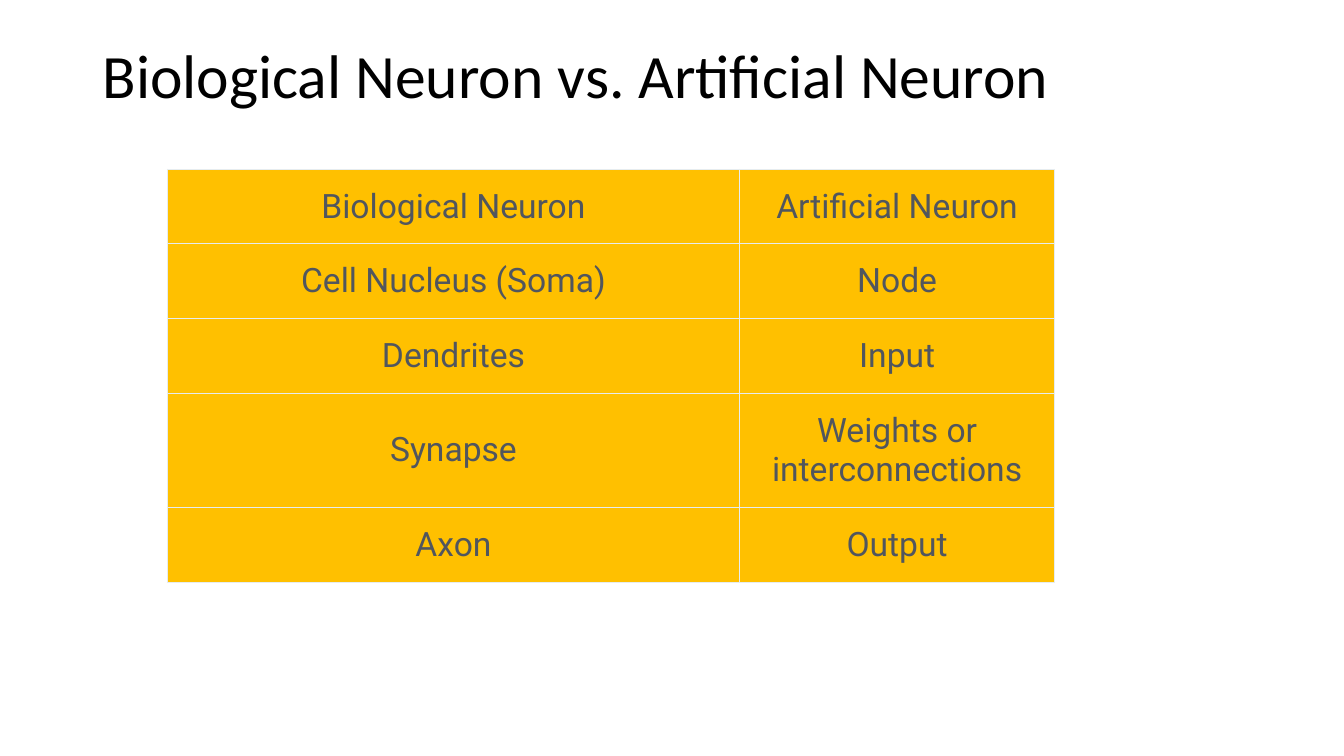
from dataclasses import dataclass

from lxml import etree
from pptx import Presentation
from pptx import util as u
from pptx.dml.color import RGBColor
from pptx.enum import text
from pptx.oxml import ns


@dataclass(frozen=True)
class Theme:
    title_font: str = "Calibri"
    title_size: int = 44
    title_color: str = "000000"
    cell_font: str = "Roboto"
    cell_size: int = 24
    cell_color: str = "51565E"
    cell_fill: str = "FFC000"
    border_color: str = "E6ECEF"
    border_width: float = 0.75


THEME = Theme()
NEURON_PAIRS = [
    ("Biological Neuron", "Artificial Neuron"),
    ("Cell Nucleus (Soma)", "Node"),
    ("Dendrites", "Input"),
    ("Synapse", "Weights or interconnections"),
    ("Axon", "Output"),
]
COLUMN_SHARES = (0.645, 0.355)
ROW_HEIGHT, WRAPPED_ROW_HEIGHT = 0.73, 1.11
CELL_FORMAT = {
    "margin_left": u.Inches(0.12),
    "margin_right": u.Inches(0.12),
    "margin_top": u.Inches(0.17),
    "margin_bottom": u.Inches(0.17),
    "vertical_anchor": text.MSO_ANCHOR.MIDDLE,
}


def apply_format(target, values):
    for attribute, value in values.items():
        setattr(target, attribute, value)


def write(paragraph, wording, font, size, color):
    run = paragraph.add_run()
    run.text = wording
    apply_format(run.font, {"name": font, "size": u.Pt(size)})
    run.font.color.rgb = RGBColor.from_string(color)


def add_title(slide, left, top, width, height):
    title = slide.shapes.add_textbox(*map(u.Inches, (left, top, width, height)))
    apply_format(title.text_frame, {
        "word_wrap": True, "vertical_anchor": text.MSO_ANCHOR.TOP})
    heading = title.text_frame.paragraphs[0]
    heading.line_spacing = 0.9
    write(heading, "Biological Neuron vs. Artificial Neuron",
          THEME.title_font, THEME.title_size, THEME.title_color)


def add_borders(cell):
    """Draw the four sides; the schema wants them ahead of the cell fill."""
    properties = cell._tc.get_or_add_tcPr()
    for position, side in enumerate(("a:lnL", "a:lnR", "a:lnT", "a:lnB")):
        line = etree.Element(ns.qn(side), w=str(u.Pt(THEME.border_width)))
        solid = etree.SubElement(line, ns.qn("a:solidFill"))
        etree.SubElement(solid, ns.qn("a:srgbClr"), val=THEME.border_color)
        properties.insert(position, line)


def fill_cell(cell, wording):
    apply_format(cell, CELL_FORMAT)
    cell.fill.solid()
    cell.fill.fore_color.rgb = RGBColor.from_string(THEME.cell_fill)
    add_borders(cell)
    label = cell.text_frame.paragraphs[0]
    label.alignment = text.PP_ALIGN.CENTER
    write(label, wording, THEME.cell_font, THEME.cell_size, THEME.cell_color)


def add_comparison(slide, left, top, width, height):
    comparison = slide.shapes.add_table(
        len(NEURON_PAIRS), len(COLUMN_SHARES),
        *map(u.Inches, (left, top, width, height))).table
    apply_format(comparison, {"first_row": False, "horz_banding": False})
    for column, share in zip(comparison.columns, COLUMN_SHARES):
        column.width = u.Inches(width * share)
    for row, pair in zip(comparison.rows, NEURON_PAIRS):
        wraps = "Synapse" in pair
        row.height = u.Inches(WRAPPED_ROW_HEIGHT if wraps else ROW_HEIGHT)
        for cell, wording in zip(row.cells, pair):
            fill_cell(cell, wording)


def main():
    deck = Presentation()
    apply_format(deck, {
        "slide_width": u.Inches(13.33), "slide_height": u.Inches(7.5)})
    slide = deck.slides.add_slide(deck.slide_layouts[6])
    add_title(slide, 0.92, 0.4, 11.5, 1.45)
    add_comparison(slide, 1.66, 1.68, 8.8, 4.03)
    deck.save("out.pptx")


if __name__ == "__main__":
    main()
